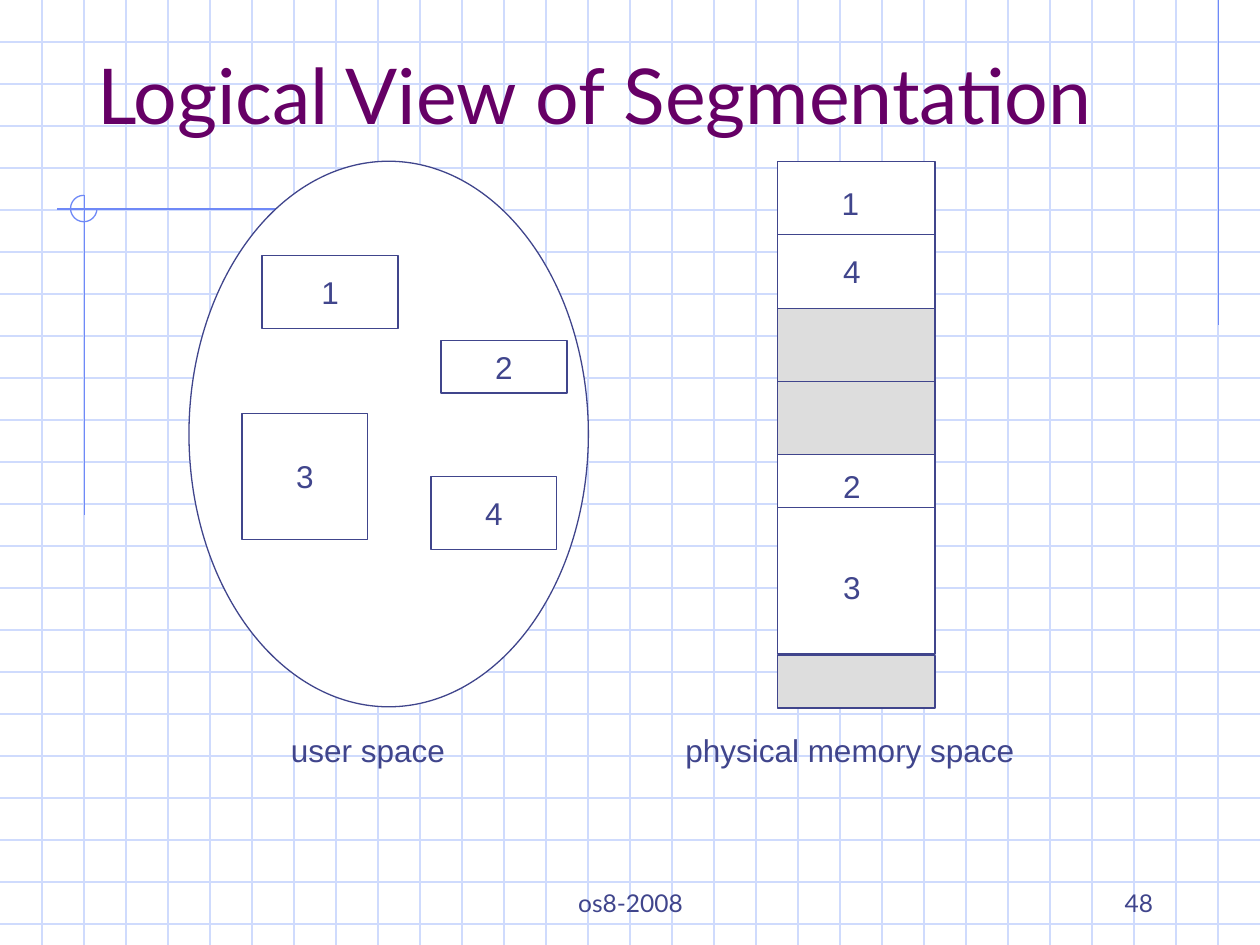
"""Build the slide that shows the logical view of segmentation."""
from dataclasses import dataclass

from lxml import etree
from pptx import Presentation
from pptx.dml.color import RGBColor
from pptx.enum.shapes import MSO_CONNECTOR, MSO_SHAPE
from pptx.enum.text import MSO_ANCHOR, MSO_AUTO_SIZE, PP_ALIGN
from pptx.oxml.ns import qn
from pptx.slide import Slide
from pptx.util import Inches, Pt

STRAIGHT = MSO_CONNECTOR.STRAIGHT
RECTANGLE, ELLIPSE, ARC = MSO_SHAPE.RECTANGLE, MSO_SHAPE.OVAL, MSO_SHAPE.ARC
LEFT, CENTER, RIGHT = PP_ALIGN.LEFT, PP_ALIGN.CENTER, PP_ALIGN.RIGHT
MIDDLE, BOTTOM = MSO_ANCHOR.MIDDLE, MSO_ANCHOR.BOTTOM
NO_AUTOFIT = MSO_AUTO_SIZE.NONE

WHITE = RGBColor(0xFF, 0xFF, 0xFF)
GRAY = RGBColor(0xDD, 0xDD, 0xDD)
INK = RGBColor(0x40, 0x45, 0x8C)
PURPLE = RGBColor(0x66, 0x00, 0x66)
GRID_BLUE = RGBColor(0xCF, 0xDB, 0xFD)
ACCENT_BLUE = RGBColor(0x6F, 0x89, 0xF7)

WIDTH, HEIGHT = 10, 7.5
CELLS_PER_INCH = 3
LINE_WIDTH = Pt(0.75)
MEMORY_LEFT, MEMORY_WIDTH = 6.17, 1.25


@dataclass(frozen=True)
class Box:
    left: float
    top: float
    width: float
    height: float
    text: str = ""
    fill: RGBColor = WHITE

    def lengths(self) -> tuple:
        return tuple(map(Inches, (self.left, self.top, self.width, self.height)))


@dataclass(frozen=True)
class TextStyle:
    font: str
    size: float
    color: RGBColor = INK
    align: PP_ALIGN = CENTER
    anchor: MSO_ANCHOR = MIDDLE
    wrap: bool = False


TITLE = Box(0.67, 0.33, 8.5, 0.83, "Logical View of Segmentation")
TITLE_STYLE = TextStyle("Lato", 44, PURPLE, LEFT, BOTTOM, True)
LABEL_STYLE = TextStyle("Arial", 18)

FOOTERS = [
    (Box(3.42, 6.83, 3.17, 0.5, "os8-2008"), CENTER),
    (Box(7.17, 6.83, 2.08, 0.5, "48"), RIGHT),
]
ACCENT_LINES = [
    (9.67, 0, 9.67, 2.58),
    (2.4, 1.66, 0.45, 1.66),
    (0.67, 1.55, 0.67, 4.09),
]
ACCENT_ARC = Box(0.56, 1.55, 0.21, 0.21)
USER_SPACE = Box(1.5, 1.28, 3.17, 4.33)
USER_SEGMENTS = [
    Box(2.08, 2.03, 1.08, 0.58, "1"),
    Box(1.92, 3.28, 1, 1, "3"),
    Box(3.5, 2.7, 1, 0.42, "2"),
    Box(3.42, 3.78, 1, 0.58, "4"),
]
MEMORY_BLOCKS = [
    Box(MEMORY_LEFT, 1.28, MEMORY_WIDTH, 1.17),
    Box(MEMORY_LEFT, 2.45, MEMORY_WIDTH, 1.17, fill=GRAY),
    Box(MEMORY_LEFT, 3.61, MEMORY_WIDTH, 1.58),
    Box(MEMORY_LEFT, 5.2, MEMORY_WIDTH, 0.42, fill=GRAY),
]
MEMORY_DIVIDERS = [1.86, 3.03, 4.03]
LABELS = [
    Box(6.58, 1.41, 0.34, 0.4, "1"),
    Box(6.59, 1.95, 0.34, 0.4, "4"),
    Box(6.59, 3.66, 0.34, 0.4, "2"),
    Box(6.59, 4.46, 0.34, 0.4, "3"),
    Box(2.21, 5.75, 1.49, 0.4, "user space "),
    Box(5.34, 5.75, 2.81, 0.4, "physical memory space"),
]


def write_text(shape, text: str, style: TextStyle) -> None:
    frame = shape.text_frame
    frame_format = {
        "word_wrap": style.wrap,
        "auto_size": NO_AUTOFIT,
        "vertical_anchor": style.anchor,
        "margin_left": Inches(0.1),
        "margin_right": Inches(0.1),
        "margin_top": Inches(0.05),
        "margin_bottom": Inches(0.05),
    }
    for name, value in frame_format.items():
        setattr(frame, name, value)
    paragraph = frame.paragraphs[0]
    paragraph.alignment = style.align
    run = paragraph.add_run()
    run.text = text
    for name, value in {"name": style.font, "size": Pt(style.size)}.items():
        setattr(run.font, name, value)
    run.font.color.rgb = style.color


def add_line(slide: Slide, ends: tuple, color: RGBColor) -> None:
    line = slide.shapes.add_connector(STRAIGHT, *map(Inches, ends))
    line.line.color.rgb = color
    line.line.width = LINE_WIDTH
    etree.SubElement(line.element.spPr, qn("a:effectLst"))


def add_box(slide: Slide, box: Box, kind: MSO_SHAPE = RECTANGLE) -> None:
    shape = slide.shapes.add_shape(kind, *box.lengths())
    shape.shadow.inherit = False
    shape.fill.solid()
    shape.fill.fore_color.rgb = box.fill
    shape.line.color.rgb = INK
    shape.line.width = LINE_WIDTH
    if box.text:
        write_text(shape, box.text, LABEL_STYLE)


def add_label(slide: Slide, box: Box, style: TextStyle) -> None:
    write_text(slide.shapes.add_textbox(*box.lengths()), box.text, style)


def add_background(slide: Slide) -> None:
    for index in range(1, int(HEIGHT * CELLS_PER_INCH) + 1):
        y = index / CELLS_PER_INCH
        add_line(slide, (0, y, WIDTH, y), GRID_BLUE)
    for index in range(1, WIDTH * CELLS_PER_INCH):
        x = index / CELLS_PER_INCH
        add_line(slide, (x, 0, x, HEIGHT), GRID_BLUE)
    for ends in ACCENT_LINES:
        add_line(slide, ends, ACCENT_BLUE)
    arc = slide.shapes.add_shape(ARC, *ACCENT_ARC.lengths())
    arc.shadow.inherit = False
    arc.fill.background()
    arc.line.color.rgb = ACCENT_BLUE
    arc.line.width = LINE_WIDTH
    arc.adjustments[0] = 0
    arc.adjustments[1] = 162


def add_title(slide: Slide) -> None:
    title = slide.shapes.title
    for name, value in zip(("left", "top", "width", "height"), TITLE.lengths()):
        setattr(title, name, value)
    write_text(title, TITLE.text, TITLE_STYLE)
    title.element.getparent().append(title.element)


def main() -> None:
    presentation = Presentation()
    presentation.slide_width = Inches(WIDTH)
    presentation.slide_height = Inches(HEIGHT)
    slide = presentation.slides.add_slide(presentation.slide_layouts[5])
    add_background(slide)
    for box, align in FOOTERS:
        add_label(slide, box, TextStyle("Lato", 14, INK, align, BOTTOM, True))
    add_title(slide)
    add_box(slide, USER_SPACE, ELLIPSE)
    for box in USER_SEGMENTS + MEMORY_BLOCKS:
        add_box(slide, box)
    for y in MEMORY_DIVIDERS:
        add_line(slide, (MEMORY_LEFT, y, MEMORY_LEFT + MEMORY_WIDTH, y), INK)
    for box in LABELS:
        add_label(slide, box, LABEL_STYLE)
    presentation.save("out.pptx")


if __name__ == "__main__":
    main()
